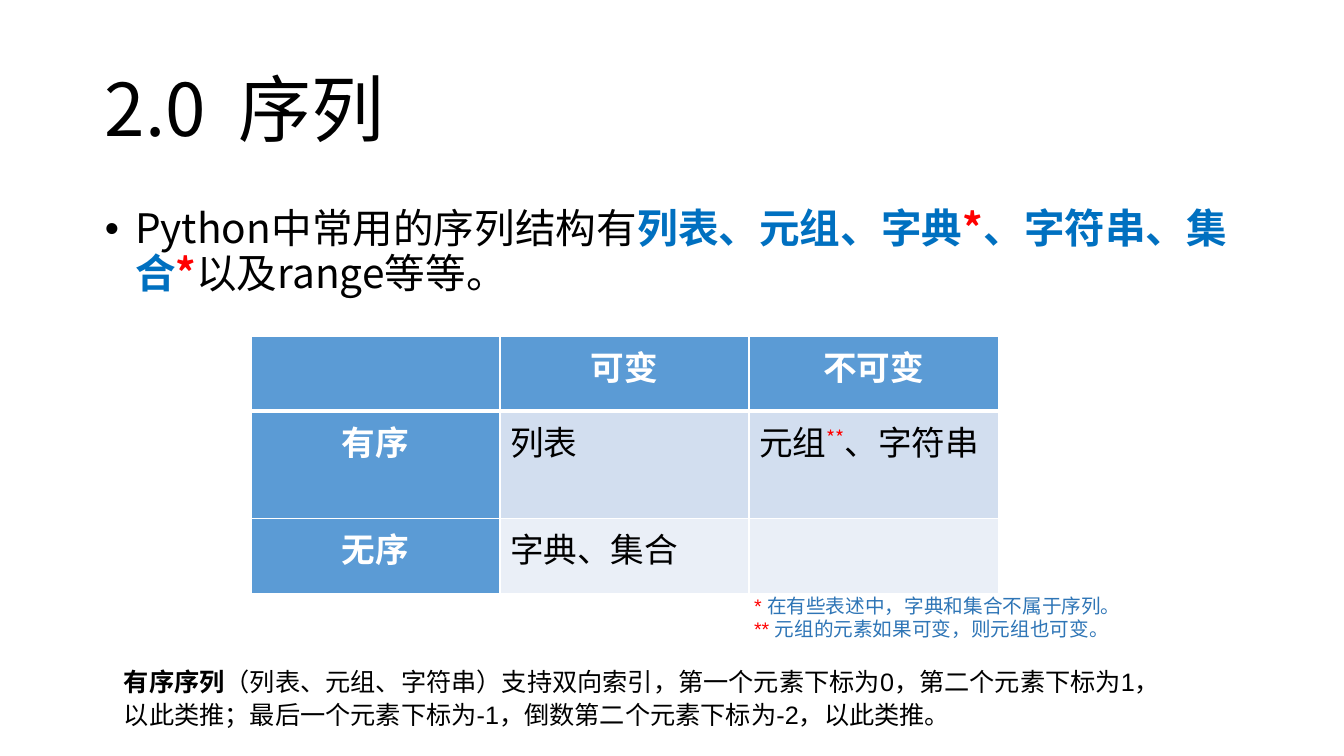
from dataclasses import dataclass

from pptx import Presentation
from pptx.dml.color import RGBColor as Rgb
from pptx.enum.lang import MSO_LANGUAGE_ID as Lang
from pptx.enum.text import MSO_ANCHOR as Anchor, MSO_AUTO_SIZE as Auto, PP_ALIGN as Align
from pptx.oxml import parse_xml
from pptx.oxml.ns import nsdecls
from pptx.util import Inches, Pt


@dataclass(frozen=True)
class Theme:
    sans: str = "Noto Sans CJK SC"
    plain: str = "Arial"
    black: str = "000000"
    white: str = "FFFFFF"
    red: str = "FF0000"
    key: str = "0070C0"
    note: str = "2E75B6"
    head: str = "5B9BD5"
    bands: tuple = ("D2DEEF", "EAEFF7")
    title_pt: int = 52
    body_pt: int = 29
    cell_pt: int = 24
    text_pt: int = 18
    note_pt: int = 14


T = Theme()


def make(tag, attrs="", inner=""):
    return parse_xml(f"<a:{tag} {nsdecls('a')} {attrs}>{inner}</a:{tag}>")


def add_run(para, text, size, face=T.sans, color=T.black, bold=False):
    run = para.add_run()
    run.text = text
    font = run.font
    font.size, font.name, font.bold = Pt(size), face, bold
    font.color.rgb = Rgb.from_string(color)
    font.language_id = Lang.SIMPLIFIED_CHINESE
    run._r.get_or_add_rPr().append(make("ea", f'typeface="{face}"'))
    return run


def place(shape, box):
    shape.left, shape.top, shape.width, shape.height = map(Inches, box)
    frame = shape.text_frame
    frame.word_wrap = True
    frame.auto_size = Auto.NONE
    frame.margin_left = frame.margin_right = Inches(0.12)
    frame.margin_top = frame.margin_bottom = Inches(0.06)
    return frame


def add_title(slide, box):
    frame = place(slide.shapes.title, box)
    frame.vertical_anchor = Anchor.MIDDLE
    para = frame.paragraphs[0]
    para.alignment = Align.LEFT
    para.line_spacing = 0.9
    add_run(para, "2.0", T.title_pt)
    gap = add_run(para, " ", T.title_pt)
    gap._r.get_or_add_rPr().set("spc", "1200")
    add_run(para, "序列", T.title_pt)


def add_body(slide, box):
    para = place(slide.placeholders[1], box).paragraphs[0]
    para.line_spacing = 0.92
    para.space_before = Pt(0)
    props = para._p.get_or_add_pPr()
    props.set("marL", str(Inches(0.3)))
    props.set("indent", str(-Inches(0.3)))
    props.append(make("buFont", 'typeface="Arial"'))
    props.append(make("buChar", 'char="•"'))
    for text, color, bold in (
        ("Python中常用的序列结构有", T.black, False),
        ("列表、元组、字典", T.key, True),
        ("*", T.red, True),
        ("、字符串、集合", T.key, True),
        ("*", T.red, True),
        ("以及range等等。", T.black, False),
    ):
        add_run(para, text, T.body_pt, color=color, bold=bold)


def add_edges(cell, base):
    """Draw white cell borders, with the bottom one base points wide."""
    props = cell._tc.get_or_add_tcPr()
    fill = f'<a:solidFill><a:srgbClr val="{T.white}"/></a:solidFill>'
    widths = {"lnL": 1, "lnR": 1, "lnT": 1, "lnB": base}
    for spot, (tag, width) in enumerate(widths.items()):
        props.insert(spot, make(tag, f'w="{Pt(width)}"', fill))


def add_grid(slide, box):
    rows = (
        ("", "可变", "不可变"),
        ("有序", "列表", "元组**、字符串"),
        ("无序", "字典、集合", ""),
    )
    table = slide.shapes.add_table(3, 3, *map(Inches, box)).table
    for r, row in enumerate(rows):
        table.rows[r].height = Inches(box[3] / 3)
        for c, text in enumerate(row):
            cell = table.cell(r, c)
            head = r == 0 or c == 0
            cell.fill.solid()
            cell.fill.fore_color.rgb = Rgb.from_string(T.head if head else T.bands[r - 1])
            add_edges(cell, 3 if r == 0 else 1)
            para = cell.text_frame.paragraphs[0]
            para.alignment = Align.CENTER if head else Align.LEFT
            color = T.white if head else T.black
            start, mark, rest = text.partition("**")
            if start:
                add_run(para, start, T.cell_pt, color=color, bold=head)
            if mark:
                star = add_run(para, mark, T.cell_pt, color=T.red)
                star._r.get_or_add_rPr().set("baseline", "30000")
                add_run(para, rest, T.cell_pt)


def add_text(slide, box):
    frame = slide.shapes.add_textbox(*map(Inches, box)).text_frame
    frame.word_wrap = True
    para = frame.paragraphs[0]
    para.line_spacing = 1.1
    add_run(para, "有序序列", T.text_pt, T.plain, bold=True)
    add_run(
        para,
        "（列表、元组、字符串）支持双向索引，第一个元素下标为0，第二个元素下标为1，以此类推；"
        "最后一个元素下标为-1，倒数第二个元素下标为-2，以此类推。",
        T.text_pt, T.plain,
    )


def add_notes(slide, box):
    frame = slide.shapes.add_textbox(*map(Inches, box)).text_frame
    frame.word_wrap = True
    notes = (
        ("* ", "在有些表述中，字典和集合不属于序列。"),
        ("**", " 元组的元素如果可变，则元组也可变。"),
    )
    for i, (mark, text) in enumerate(notes):
        para = frame.add_paragraph() if i else frame.paragraphs[0]
        add_run(para, mark, T.note_pt, T.plain, T.red)
        add_run(para, text, T.note_pt, T.plain, T.note)


def main():
    deck = Presentation()
    deck.slide_width, deck.slide_height = Inches(13.33), Inches(7.5)
    slide = deck.slides.add_slide(deck.slide_layouts[1])
    add_title(slide, (0.92, 0.4, 11.5, 1.45))
    add_body(slide, (0.92, 2, 11.5, 4.76))
    add_grid(slide, (2.49, 3.34, 7.41, 2.22))
    add_text(slide, (1.13, 6.53, 10.7, 0.74))
    add_notes(slide, (7.38, 5.84, 4.09, 0.57))
    deck.save("out.pptx")


if __name__ == "__main__":
    main()
